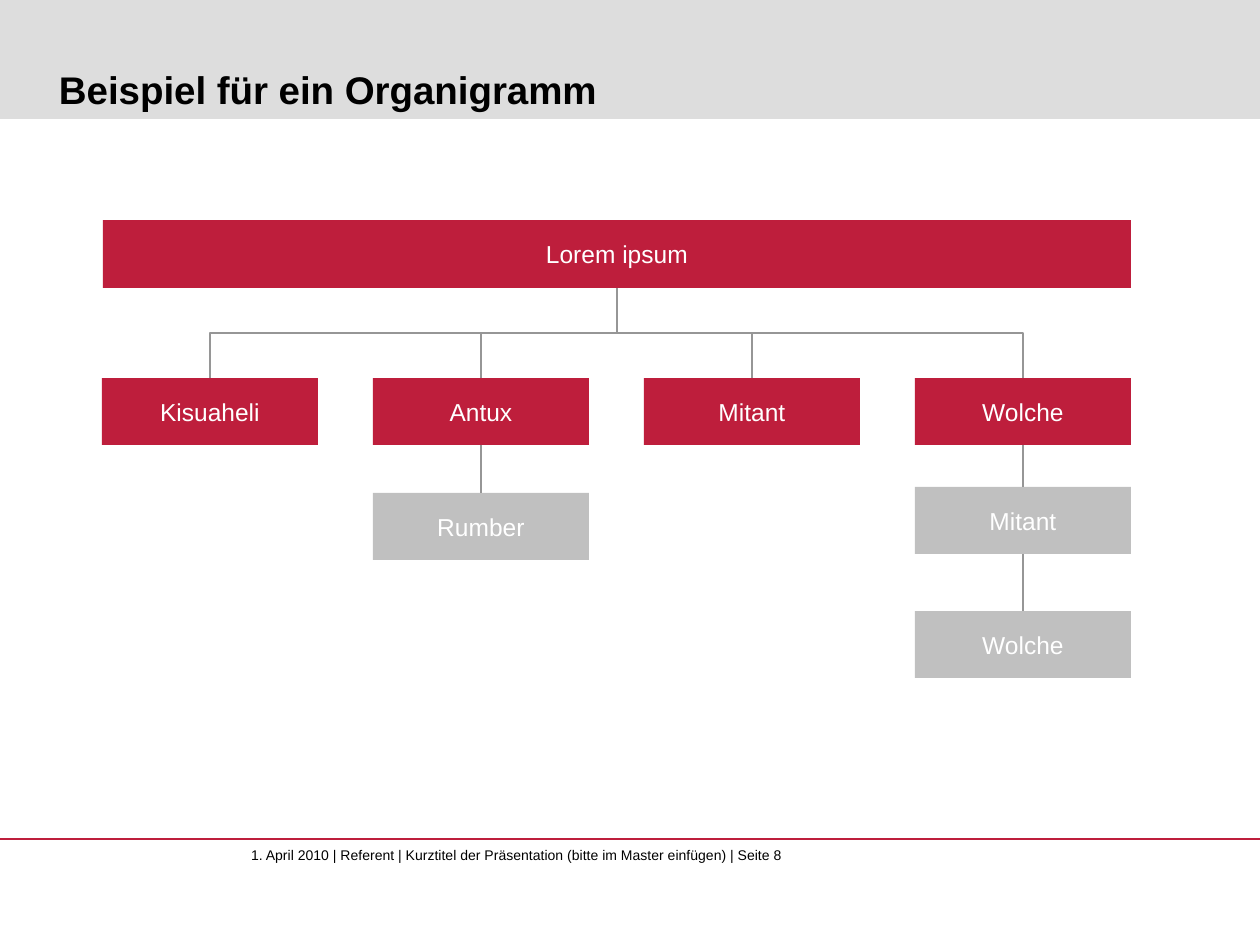
from lxml import etree
from pptx import Presentation
from pptx.dml.color import RGBColor
from pptx.enum.shapes import MSO_CONNECTOR, MSO_SHAPE
from pptx.enum.text import MSO_ANCHOR, MSO_AUTO_SIZE, PP_ALIGN
from pptx.oxml.ns import qn
from pptx.util import Pt

RECT = MSO_SHAPE.RECTANGLE
STRAIGHT, ELBOW = MSO_CONNECTOR.STRAIGHT, MSO_CONNECTOR.ELBOW
MIDDLE, BOTTOM = MSO_ANCHOR.MIDDLE, MSO_ANCHOR.BOTTOM
LEFT, CENTER = PP_ALIGN.LEFT, PP_ALIGN.CENTER
NO_FIT = MSO_AUTO_SIZE.NONE

EMU_PER_PX = 914400 / 126
RED, SILVER, LINE_GRAY = "BE1E3C", "C0C0C0", "969696"
COLUMN_PITCH, BOX_W, BOX_H = 271, 216, 67
COLUMNS = [
    ("Kisuaheli", []),
    ("Antux", [("Rumber", 273)]),
    ("Mitant", []),
    ("Wolche", [("Mitant", 267), ("Wolche", 391)]),
]


def px(n):
    """Turn pixels into EMU."""
    return round(n * EMU_PER_PX)


def color(hex_string):
    """Turn a hex string into a colour."""
    return RGBColor.from_string(hex_string)


def write(shape, text, size, font_color, align=LEFT, bold=False):
    """Write one formatted paragraph without margins into a shape."""
    tf = shape.text_frame
    tf.text = text
    tf.margin_left = tf.margin_right = tf.margin_top = tf.margin_bottom = 0
    p = tf.paragraphs[0]
    p.alignment = align
    font = p.runs[0].font
    font.name, font.size, font.bold = "Arial", Pt(size), bold
    font.color.rgb = color(font_color)
    return tf


def add_box(slide, x, y, w, h, fill):
    """Add a plain filled rectangle."""
    sp = slide.shapes.add_shape(RECT, px(x), px(y), px(w), px(h))
    sp.shadow.inherit = False
    sp.fill.solid()
    sp.fill.fore_color.rgb = color(fill)
    sp.line.fill.background()
    return sp


def add_node(slide, text, x, y, w, h, fill):
    """Add a labelled box of the chart."""
    sp = add_box(slide, x, y, w, h, fill)
    tf = write(sp, text, 14, "FFFFFF", CENTER)
    tf.vertical_anchor = MIDDLE
    tf.paragraphs[0].space_before = Pt(1.4)
    return sp


def add_line(slide, kind, x1, y1, x2, y2, line_color):
    """Add a thin connector between two points given in EMU."""
    line = slide.shapes.add_connector(kind, x1, y1, x2, y2)
    line.line.color.rgb = color(line_color)
    line.line.width = Pt(0.75)
    etree.SubElement(line._element.spPr, qn("a:effectLst"))
    return line


def join(slide, parent, child, kind=STRAIGHT):
    """Join the bottom of a parent to the top of a child."""
    x1, y1 = parent.left + parent.width // 2, parent.top + parent.height
    x2, y2 = child.left + child.width // 2, child.top
    line = add_line(slide, kind, x1, y1, x2, y2, LINE_GRAY)
    line.begin_connect(parent, 2)
    line.end_connect(child, 0)
    if kind == ELBOW:
        line.width, line.height = y2 - y1, abs(x2 - x1)
        line.left = (x1 + x2 - line.width) // 2
        line.top = (y1 + y2 - line.height) // 2
        goes_right = x2 > x1
        xfrm = line._element.spPr.find(qn("a:xfrm"))
        xfrm.set("rot", str((270 if goes_right else 90) * 60000))
        xfrm.set("flipH", "1" if goes_right else "0")


def add_header(slide, x, y, w, h):
    """Place the gray band and the title on it."""
    band = add_box(slide, x, y, w, h, "DDDDDD")
    slide.shapes._spTree.insert(2, band._element)
    title = slide.shapes.title
    title.left, title.top = px(x + 59), px(y + 15)
    title.width, title.height = px(w - 106), px(h - 22)
    tf = write(title, "Beispiel für ein Organigramm", 22, "000000", bold=True)
    tf.vertical_anchor = BOTTOM
    tf.auto_size = NO_FIT


def add_footer(slide, x, y, w):
    """Place the red rule and the footer line below it."""
    add_line(slide, STRAIGHT, px(x), px(y), px(x + w), px(y), RED)
    sp = slide.shapes.add_textbox(px(x + 251), px(y + 8), px(687), px(29))
    text = ("1. April 2010 | Referent | Kurztitel der Präsentation "
            "(bitte im Master einfügen) | Seite 8")
    write(sp, text, 8, "000000")


def add_org_chart(slide, x, y, w):
    """Place the head box, its four columns and their connectors."""
    head = add_node(slide, "Lorem ipsum", x + 1, y, w - 1, 68, RED)
    for i, (name, children) in enumerate(COLUMNS):
        left = x + i * COLUMN_PITCH
        parent = add_node(slide, name, left, y + 158, BOX_W, BOX_H, RED)
        join(slide, head, parent, ELBOW)
        for text, offset in children:
            child = add_node(slide, text, left, y + offset, BOX_W, BOX_H, SILVER)
            join(slide, parent, child)
            parent = child


def main():
    """Build and save the presentation."""
    prs = Presentation()
    prs.slide_width, prs.slide_height = px(1260), px(945)
    slide = prs.slides.add_slide(prs.slide_layouts[5])
    add_header(slide, 0, 0, 1260, 119)
    add_footer(slide, 0, 839, 1260)
    add_org_chart(slide, 102, 220, 1029)
    prs.save("out.pptx")


if __name__ == "__main__":
    main()
